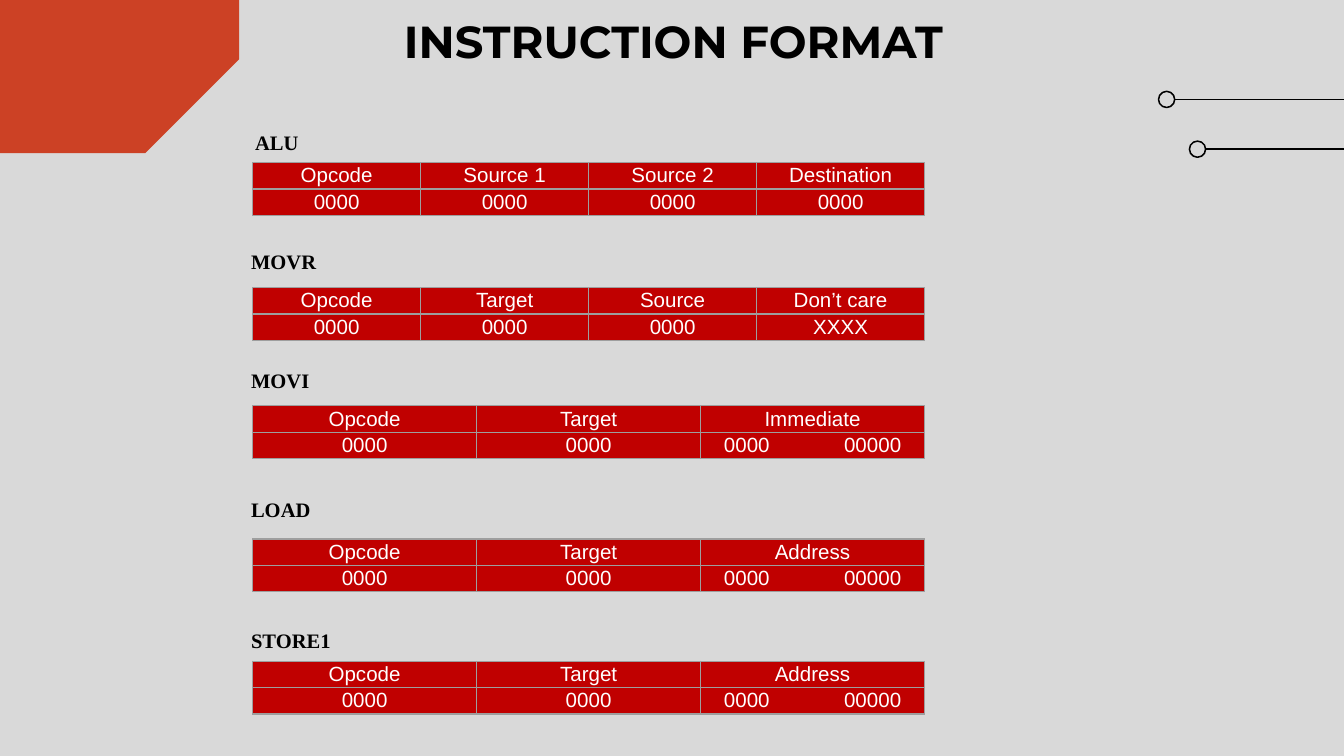
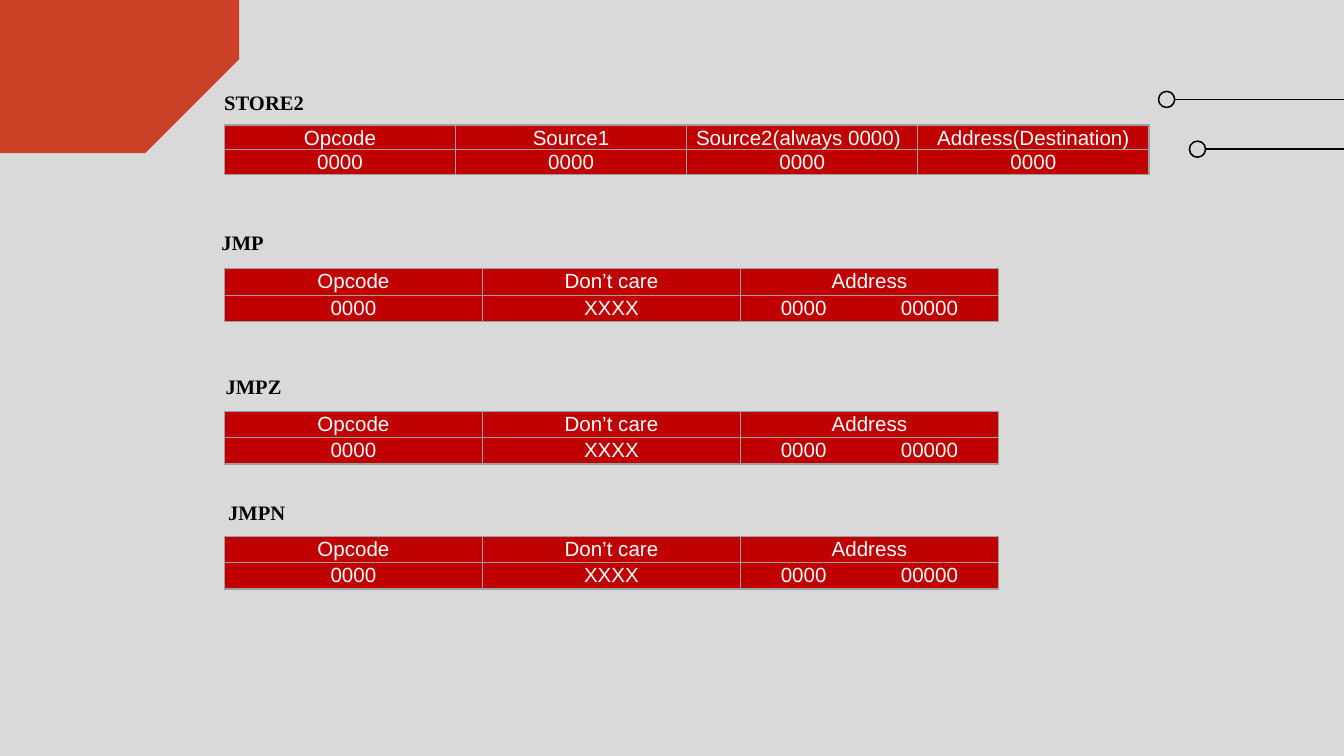
from dataclasses import dataclass
from lxml import etree
from pptx import Presentation
from pptx.dml.color import RGBColor
from pptx.enum import shapes, text
from pptx.oxml import ns
from pptx.util import Inches, Pt


@dataclass(frozen=True)
class Theme:
    back: str = "D9D9D9"
    accent: str = "CC4125"
    cell: str = "C00000"
    grid: str = "9E9E9E"
    ink: str = "000000"
    light: str = "FFFFFF"
    head: str = "Montserrat"
    label: str = "Times New Roman"
    body: str = "Arial"
    big: float = 24
    small: float = 11
    rule: float = 0.82
    border: float = 0.75
    gap: int = 3670  # extra width of the space in a split field, 1/100 pt


T = Theme()
SPLIT = "0000 00000"


def color(code):
    return RGBColor.from_string(code)


def style(para, face, size, code, bold=False):
    font = para.font
    font.name, font.size, font.bold = face, Pt(size), bold
    font.color.rgb = color(code)


def write(slide, box, words, face, size, inset=0.05, align=text.PP_ALIGN.LEFT):
    frame = slide.shapes.add_textbox(*map(Inches, box)).text_frame
    frame.word_wrap = True
    frame.margin_top = frame.margin_bottom = Inches(inset)
    para = frame.paragraphs[0]
    para.text, para.alignment = words, align
    style(para, face, size, T.ink, True)


# Decoration shared by the slides
def corner(slide, box):
    snip = slide.shapes.add_shape(shapes.MSO_SHAPE.SNIP_1_RECTANGLE, *map(Inches, box))
    snip.adjustments[0] = 0.374
    snip.rotation = 90
    snip.shadow.inherit = False
    snip.fill.solid()
    snip.fill.fore_color.rgb = color(T.accent)
    snip.line.fill.background()


def pin(slide, left, mid, end, size=0.12):
    ring = slide.shapes.add_shape(
        shapes.MSO_SHAPE.OVAL, Inches(left), Inches(mid - size / 2), Inches(size), Inches(size))
    ring.shadow.inherit = False
    ring.fill.background()
    stem = slide.shapes.add_connector(
        shapes.MSO_CONNECTOR.STRAIGHT, Inches(left + size), Inches(mid), Inches(end), Inches(mid))
    etree.SubElement(stem._element.spPr, ns.qn("a:effectLst"))
    for part in (ring, stem):
        part.line.color.rgb = color(T.ink)
        part.line.width = Pt(T.rule)


def base(deck):
    slide = deck.slides.add_slide(deck.slide_layouts[6])
    slide.background.fill.solid()
    slide.background.fill.fore_color.rgb = color(T.back)
    corner(slide, (-0.94, -1.58, 3.57, 1.87))
    pin(slide, 8.62, 0.74, 10.64)
    pin(slide, 8.85, 1.11, 10.67)
    return slide


# Instruction table with its label
def edge(cell):
    props = cell._tc.get_or_add_tcPr()
    for side in ("lnL", "lnR", "lnT", "lnB"):
        line = etree.SubElement(props, ns.qn("a:" + side), w=str(Pt(T.border)))
        fill = etree.SubElement(line, ns.qn("a:solidFill"))
        etree.SubElement(fill, ns.qn("a:srgbClr"), val=T.grid)


def fill_cell(cell, words):
    edge(cell)
    cell.fill.solid()
    cell.fill.fore_color.rgb = color(T.cell)
    cell.margin_left = cell.margin_right = Inches(0.07)
    cell.margin_top = cell.margin_bottom = 0
    para = cell.text_frame.paragraphs[0]
    para.alignment, para.line_spacing = text.PP_ALIGN.CENTER, 1.07
    style(para, T.body, T.small, T.light)
    if words == SPLIT:
        # One widened space sets the two halves apart
        for part in words.partition(" "):
            run = para.add_run()
            run.text = part
            if part == " ":
                run.font._element.set("spc", str(T.gap))
    else:
        para.text = words


def layout(slide, box, label, spot, heads, bits):
    left, top, width, high = box
    grid = slide.shapes.add_table(2, len(heads), *map(Inches, box)).table
    for col in grid.columns:
        col.width = Inches(width / len(heads))
    for row, words in enumerate((heads, bits)):
        grid.rows[row].height = Inches(high / 2)
        for col, word in enumerate(words):
            fill_cell(grid.cell(row, col), word)
    write(slide, (*spot, 1, 0.29), label, T.label, T.small)
    return grid


deck = Presentation()
deck.slide_width = Inches(10)
deck.slide_height = Inches(10 * 9 / 16)

# Slide 1: register, move and memory formats
slide = base(deck)
write(slide, (0.79, 0, 8.44, 0.67), "INSTRUCTION FORMAT", T.head, T.big, 0.1,
      text.PP_ALIGN.CENTER)
four, three = ("0000",) * 4, ("0000", "0000", SPLIT)
for label, x, y, top, high, heads, bits in (
    ("ALU", 1.8, 0.92, 1.21, 0.37, ("Opcode", "Source 1", "Source 2", "Destination"), four),
    ("MOVR", 1.77, 1.8, 2.14, 0.39, ("Opcode", "Target", "Source", "Don’t care"),
     four[:3] + ("XXXX",)),
    ("MOVI", 1.77, 2.69, 3.02, 0.39, ("Opcode", "Target", "Immediate"), three),
    ("LOAD", 1.77, 3.65, 4.01, 0.39, ("Opcode", "Target", "Address"), three),
    ("STORE1", 1.77, 4.62, 4.92, 0.39, ("Opcode", "Target", "Address"), three),
):
    layout(slide, (1.88, top, 5, high), label, (x, y), heads, bits)

# Slide 2: second store and jump formats
slide = base(deck)
store = layout(slide, (1.67, 0.93, 6.88, 0.37), "STORE2", (1.57, 0.62),
               ("Opcode", "Source1", "Source2(always 0000)", "Address(Destination)"), four)
store.cell(0, 2).text_frame.paragraphs[0].alignment = text.PP_ALIGN.LEFT
for label, x, y, top in (
    ("JMP", 1.55, 1.66, 2), ("JMPZ", 1.58, 2.73, 3.06), ("JMPN", 1.6, 3.67, 3.99),
):
    layout(slide, (1.67, top, 5.76, 0.39), label, (x, y),
           ("Opcode", "Don’t care", "Address"), ("0000", "XXXX", SPLIT))

deck.save("out.pptx")
